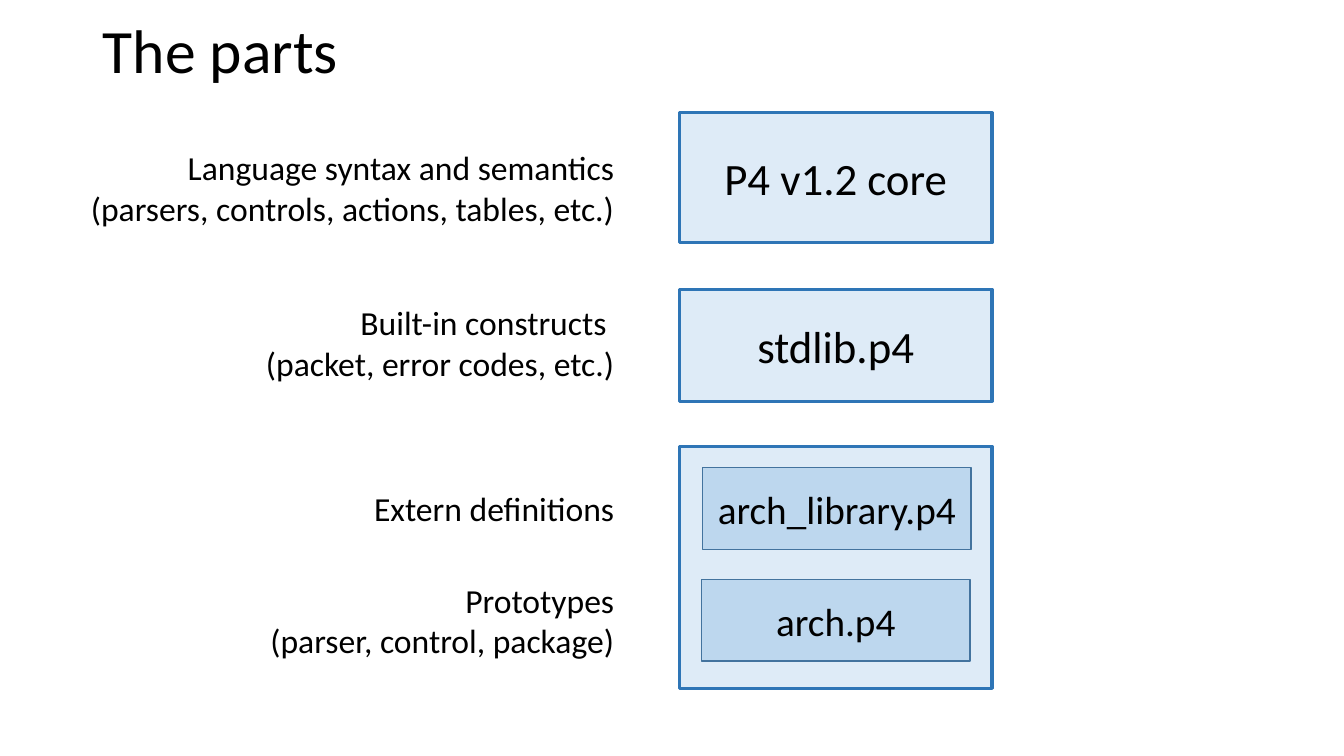
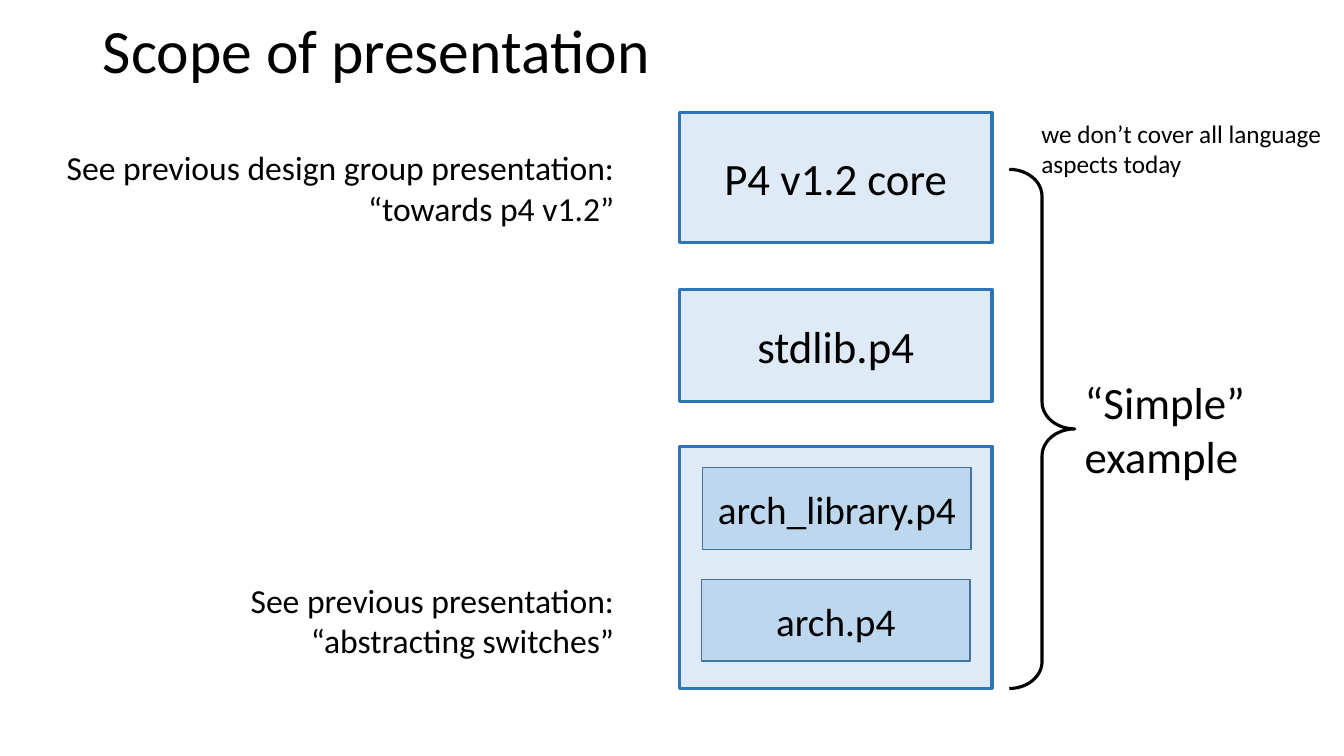
import dataclasses
import typing

import pptx
import pptx.dml.color
import pptx.enum.shapes
import pptx.enum.text
import pptx.shapes.autoshape
import pptx.slide
import pptx.text.text
import pptx.util

Inches = pptx.util.Inches
Align = pptx.enum.text.PP_ALIGN
Anchor = pptx.enum.text.MSO_ANCHOR
Preset = pptx.enum.shapes.MSO_SHAPE


# Theme: colours, type sizes and line widths
@dataclasses.dataclass(frozen=True)
class Theme:
    font: str = "Calibri"
    ink: str = "000000"
    panel_fill: str = "DEEBF7"
    panel_line: str = "2E75B6"
    file_fill: str = "BDD7EE"
    file_line: str = "43739E"
    title_size: int = 44
    panel_size: int = 32
    file_size: int = 28
    label_size: int = 24
    note_size: int = 18
    thick: float = 2.25
    thin: float = 1


THEME = Theme()


# Elements that the slides repeat
@dataclasses.dataclass(frozen=True)
class Block:
    left: float
    top: float
    width: float
    height: float
    text: str = ""
    size: int = THEME.panel_size
    fill: str = THEME.panel_fill
    line: str = THEME.panel_line
    weight: float = THEME.thick


@dataclasses.dataclass(frozen=True)
class Label:
    left: float
    top: float
    width: float
    height: float
    text: str
    size: int = THEME.label_size
    align: Align = Align.LEFT


def panel(top: float, height: float, text: str = "") -> Block:
    return Block(6.74, top, 3.1, height, text)


def file_block(left: float, top: float, text: str) -> Block:
    return Block(left, top, 2.66, 0.81, text, THEME.file_size,
                 THEME.file_fill, THEME.file_line, THEME.thin)


def side_label(top: float, width: float, text: str, height: float = 0.91) -> Label:
    """A label that ends at the common right edge beside the blocks."""
    right_edge = 6.19
    return Label(right_edge - width, top, width, height, text, align=Align.RIGHT)


PARTS = (
    panel(1.12, 1.29, "P4 v1.2 core"),
    panel(2.87, 1.11, "stdlib.p4"),
    panel(4.43, 2.4),
    file_block(6.97, 4.64, "arch_library.p4"),
    file_block(6.96, 5.75, "arch.p4"),
)


# Drawing functions
def apply_format(target: typing.Any, values: dict[str, typing.Any]) -> None:
    for name, value in values.items():
        setattr(target, name, value)


def place(*lengths: float) -> list[pptx.util.Length]:
    return [Inches(length) for length in lengths]


def rgb(colour: str) -> pptx.dml.color.RGBColor:
    return pptx.dml.color.RGBColor.from_string(colour)


def write_text(frame: pptx.text.text.TextFrame, text: str, size: int,
               para_format: dict[str, typing.Any]) -> None:
    frame.text = text
    for para in frame.paragraphs:
        apply_format(para, para_format)
        for span in para.runs:
            apply_format(span.font, {"name": THEME.font, "size": pptx.util.Pt(size)})
            span.font.color.rgb = rgb(THEME.ink)


def draw_outline(shape: pptx.shapes.autoshape.Shape, colour: str, weight: float) -> None:
    shape.shadow.inherit = False
    shape.line.color.rgb = rgb(colour)
    shape.line.width = pptx.util.Pt(weight)


def draw_block(page: pptx.slide.Slide, block: Block) -> None:
    box = page.shapes.add_shape(
        Preset.RECTANGLE, *place(block.left, block.top, block.width, block.height))
    box.fill.solid()
    box.fill.fore_color.rgb = rgb(block.fill)
    draw_outline(box, block.line, block.weight)
    if block.text:
        box.text_frame.vertical_anchor = Anchor.MIDDLE
        write_text(box.text_frame, block.text, block.size, {"alignment": Align.CENTER})


def draw_label(page: pptx.slide.Slide, label: Label) -> None:
    box = page.shapes.add_textbox(
        *place(label.left, label.top, label.width, label.height))
    apply_format(box.text_frame, {
        "word_wrap": False,
        "auto_size": pptx.enum.text.MSO_AUTO_SIZE.SHAPE_TO_FIT_TEXT,
    })
    write_text(box.text_frame, label.text, label.size, {"alignment": label.align})


def draw_brace(page: pptx.slide.Slide) -> None:
    brace = page.shapes.add_shape(Preset.LEFT_BRACE, *place(10.01, 1.68, 0.65, 5.15))
    brace.rotation = 180
    brace.adjustments[0] = 0.41
    brace.adjustments[1] = 0.5
    brace.fill.background()
    draw_outline(brace, THEME.ink, THEME.thick)


def add_page(deck: typing.Any, title: str, labels: tuple[Label, ...]) -> pptx.slide.Slide:
    """Add a slide with its title, the stack of parts and the labels."""
    page = deck.slides.add_slide(deck.slide_layouts.get_by_name("Title Only"))
    heading = page.shapes.title
    left, top, width, height = place(0.92, 0.13, 11.5, 0.81)
    apply_format(heading, {"left": left, "top": top, "width": width, "height": height})
    apply_format(heading.text_frame, {
        "vertical_anchor": Anchor.MIDDLE,
        "auto_size": pptx.enum.text.MSO_AUTO_SIZE.NONE,
    })
    write_text(heading.text_frame, title, THEME.title_size,
               {"alignment": Align.LEFT, "line_spacing": 0.9})
    for block in PARTS:
        draw_block(page, block)
    for label in labels:
        draw_label(page, label)
    return page


# Deck
deck = pptx.Presentation()
apply_format(deck, {"slide_width": Inches(13.33), "slide_height": Inches(7.5)})

# Slide 1: the parts
add_page(deck, "The parts", (
    side_label(1.41, 5.44, "Language syntax and semantics\v"
                           "(parsers, controls, actions, tables, etc.)"),
    side_label(2.95, 3.69, "Built-in constructs \v(packet, error codes, etc.)"),
    side_label(4.79, 2.61, "Extern definitions", height=0.5),
    side_label(5.7, 3.72, "Prototypes\v(parser, control, package)"),
))

# Slide 2: the scope, with a brace over all parts
scope_page = add_page(deck, "Scope of presentation", (
    side_label(1.41, 5.82, "See previous design group presentation:\v“towards p4 v1.2”"),
    side_label(5.7, 3.85, "See previous presentation:\n“abstracting switches”"),
    Label(10.66, 3.67, 1.8, 1.18, "“Simple”\vexample", THEME.panel_size),
    Label(10.23, 1.12, 3.01, 0.71, "we don’t cover all language\vaspects today",
          THEME.note_size),
))
draw_brace(scope_page)

deck.save("out.pptx")
